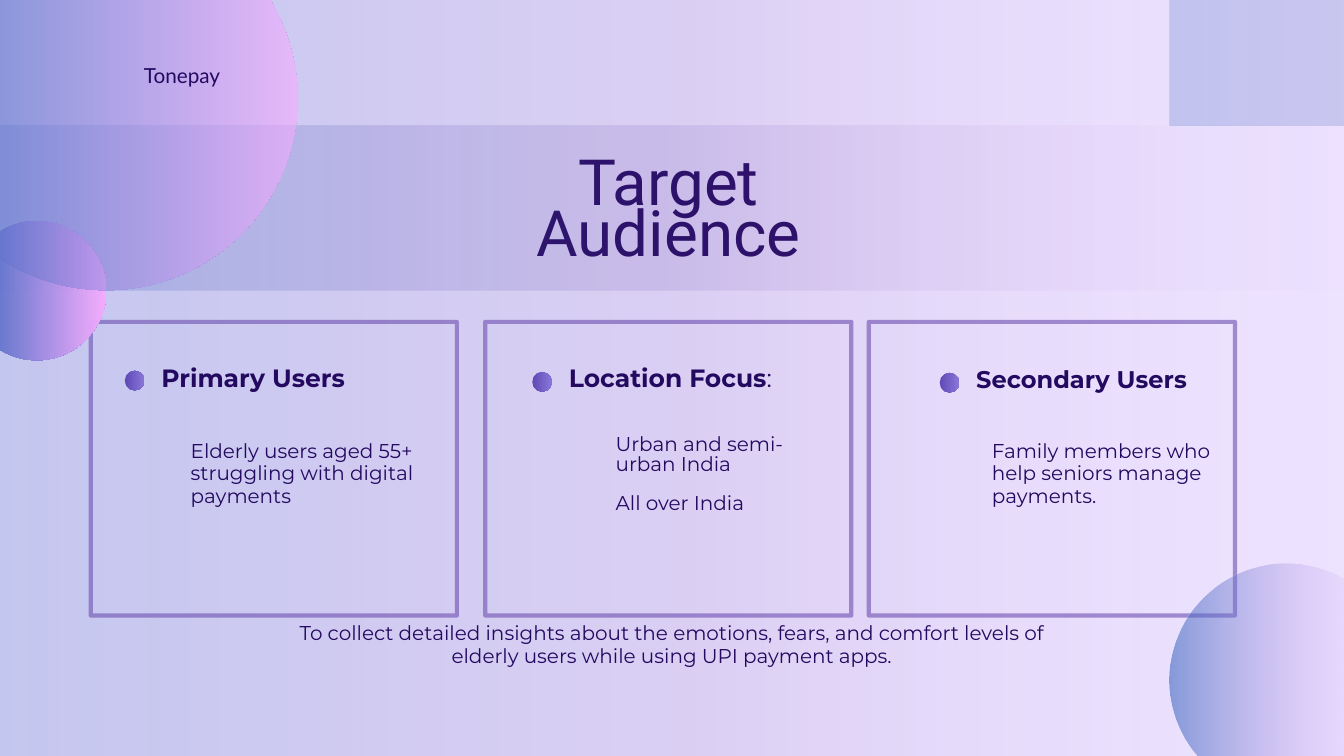
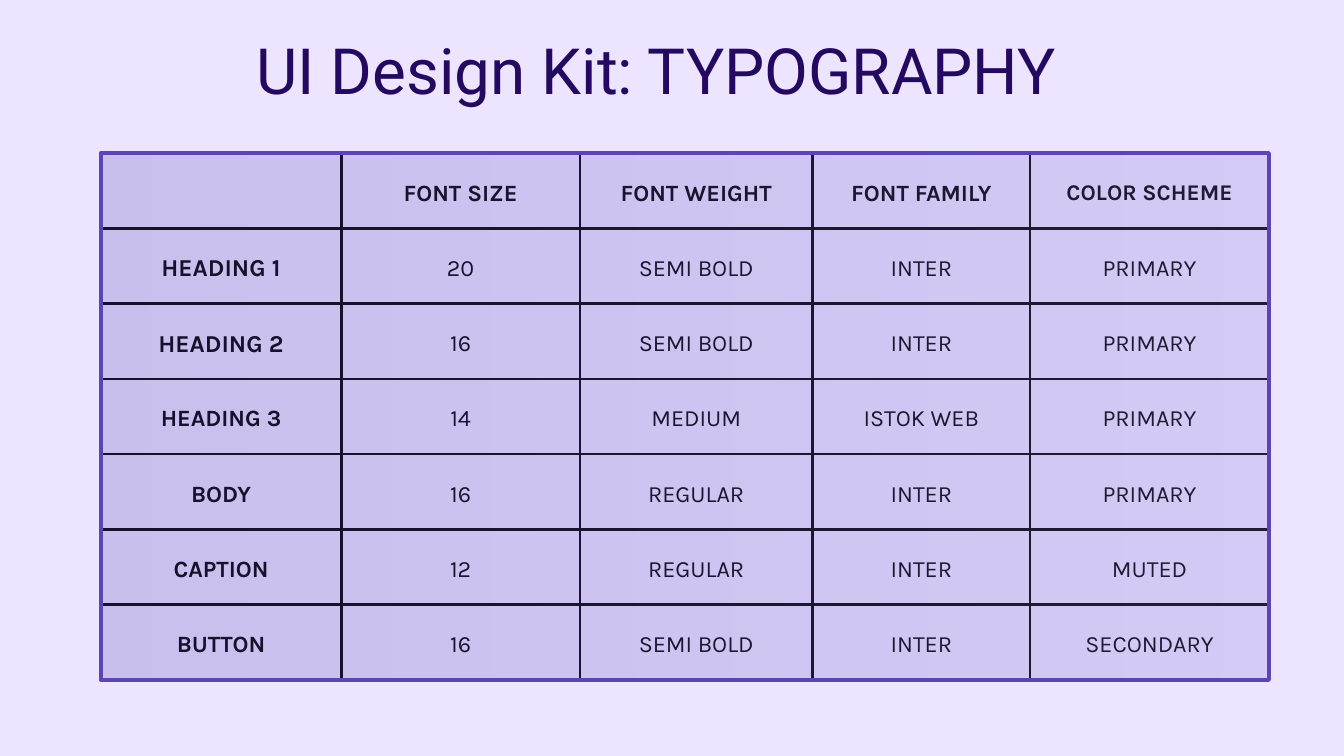
from lxml import etree
from pptx import Presentation
from pptx import util as u
from pptx.dml.color import RGBColor
from pptx.enum import shapes, text
from pptx.oxml.ns import qn

HUES = {
    "page": "EDE5FF", "ink": "240960", "black": "000000",
    "blue": "3C67BF", "plum": "6B4CAF", "pink": "F7ACFF",
    "deep": "5B45B5", "lilac": "8875D7",
}
BOX, DISC = shapes.MSO_SHAPE.RECTANGLE, shapes.MSO_SHAPE.OVAL
LEFT, MID, FULL = text.PP_ALIGN.LEFT, text.PP_ALIGN.CENTER, text.PP_ALIGN.JUSTIFY

WASH = [(0, "blue", 23), (50, "plum", 13), (100, "pink", 0)]
BALL = [(0, "blue", 96), (100, "pink", 96)]
GLOW = [(0, "blue", 58), (100, "pink", 58)]
FADE = [(0, "blue", 58), (100, "pink", 0)]
DOT = [(0, "deep", 96), (100, "lilac", 96)]
TINT = [(0, "deep", 23), (100, "lilac", 23)]

CARDS = [3.43, 18.34, 32.84]
HEADS = [
    ("Primary Users", "", 14.02, 14.1, 26.8),
    ("Location Focus", ":", 14.07, 14.1, 26.8),
    ("Secondary Users", "", 14.1, 14.15, 25.8),
]
NOTES = [
    (["Elderly users aged 55+ struggling with digital payments"],
     (7.21, 16.61, 9.19, 2.57), 24.4, LEFT),
    (["Urban and semi-urban India", "All over India"],
     (23.27, 16.48, 8.2, 2.9), 21, LEFT),
    (["Family members who help seniors manage payments."],
     (37.49, 16.61, 9.19, 3.4), 24.4, LEFT),
    (["To collect detailed insights about the emotions, fears, and comfort "
      "levels of elderly users while using UPI payment apps."],
     (10.31, 23.52, 30.15, 1.7), 24.4, MID),
]
GRID = [
    ["", "FONT SIZE", "FONT WEIGHT", "FONT FAMILY", "COLOR SCHEME"],
    ["HEADING 1", "20", "SEMI BOLD", "INTER", "PRIMARY"],
    ["HEADING 2", "16", "SEMI BOLD", "INTER", "PRIMARY"],
    ["HEADING 3", "14", "MEDIUM", "ISTOK WEB", "PRIMARY"],
    ["BODY", "16", "REGULAR", "INTER", "PRIMARY"],
    ["CAPTION", "12", "REGULAR", "INTER", "MUTED"],
    ["BUTTON", "16", "SEMI BOLD", "INTER", "SECONDARY"],
]
SIZES = {"COLOR SCHEME": 24, "HEADING 1": 26, "HEADING 2": 26}
COLS = [9.09, 9.02, 8.79, 8.23, 9.02]
FRAME = (3.81, 5.79, 44.15, 19.91)


def rgb(hue):
    """Return the named colour."""
    return RGBColor.from_string(HUES[hue])


def place(box):
    """Turn centimetres into lengths."""
    return [u.Cm(n) for n in box]


def tone(node, hue, alpha):
    """Add a colour with an opacity in percent."""
    clr = etree.SubElement(node, qn("a:srgbClr"), val=HUES[hue])
    etree.SubElement(clr, qn("a:alpha"), val=str(alpha * 1000))


def shape(slide, kind, box):
    """Add a preset shape with no fill, line or shadow."""
    item = slide.shapes.add_shape(kind, *place(box))
    item.shadow.inherit = False
    item.fill.background()
    item.line.fill.background()
    return item


def blend(slide, kind, box, stops):
    """Add a shape with a see-through gradient from left to right."""
    item = shape(slide, kind, box)
    item.fill.gradient()
    item.fill.gradient_angle = 0
    stack = item._element.spPr.find(qn("a:gradFill")).find(qn("a:gsLst"))
    for old in list(stack):
        stack.remove(old)
    for spot, hue, alpha in stops:
        tone(etree.SubElement(stack, qn("a:gs"), pos=str(spot * 1000)), hue, alpha)


def frame(slide, box, hue, alpha):
    """Add an outlined box."""
    line = shape(slide, BOX, box).line
    line.width = u.Pt(4.5)
    line.color.rgb = rgb(hue)
    fill = line._ln.find(qn("a:solidFill"))
    fill.remove(fill[0])
    tone(fill, hue, alpha)


def style(para, face, size, lead, hue="ink", bold=False, align=LEFT):
    """Format a paragraph and its runs."""
    para.alignment = align
    para.line_spacing = u.Pt(lead)
    for run in para.runs:
        font = run.font
        font.name, font.size, font.bold = face, u.Pt(size), bold
        font.color.rgb = rgb(hue)


def write(slide, lines, box, face, size, lead, gap=0, **looks):
    """Add a text box with one paragraph for each line."""
    body = slide.shapes.add_textbox(*place(box)).text_frame
    body.margin_left = body.margin_right = body.margin_top = body.margin_bottom = 0
    body.word_wrap = True
    body.auto_size = text.MSO_AUTO_SIZE.SHAPE_TO_FIT_TEXT
    body.text = "\n".join(lines)
    for num, para in enumerate(body.paragraphs):
        style(para, face, size, lead, **looks)
        if num and gap:
            para.space_before = u.Pt(gap)
    return body


def title(slide, lines, box, align):
    """Add the slide title."""
    write(slide, lines, box, "Roboto", 68.3, 54.7, align=align)


def head(slide, num, label, tail, dot, top, size):
    """Add a card heading with its dot."""
    left = 4.72 + 15.4 * num
    blend(slide, DISC, (left, dot, 0.74, 0.74), DOT)
    box = (left + 1.38, top, 9.5, 0.86)
    body = write(slide, [label], box, "Montserrat", size, size * 0.8, bold=True)
    if tail:
        para = body.paragraphs[0]
        para.add_run().text = tail
        style(para, "Montserrat", size, size * 0.8)
        para.runs[0].font.bold = True


def edge(cell):
    """Draw the four borders of a cell."""
    props = cell._tc.get_or_add_tcPr()
    for side in ("a:lnL", "a:lnR", "a:lnT", "a:lnB"):
        line = etree.SubElement(props, qn(side), w=str(u.Pt(3)))
        tone(etree.SubElement(line, qn("a:solidFill")), "black", 100)


def table(slide):
    """Add the table of type styles."""
    left, top, wide, high = place(FRAME)
    grid = slide.shapes.add_table(len(GRID), len(COLS), left, top, wide, high).table
    grid.first_row = grid.horz_banding = False
    for col, size in zip(grid.columns, COLS):
        col.width = u.Cm(size)
    for r, row in enumerate(GRID):
        grid.rows[r].height = high // len(GRID)
        for c, word in enumerate(row):
            cell = grid.cell(r, c)
            edge(cell)
            cell.fill.background()
            cell.vertical_anchor = text.MSO_ANCHOR.MIDDLE
            cell.margin_left = cell.margin_right = u.Cm(0.53)
            cell.margin_top = cell.margin_bottom = u.Cm(0.53)
            cell.text_frame.text = word
            size = SIZES.get(word, 25)
            style(cell.text_frame.paragraphs[0], "Karla", size, size * 1.4,
                  "black", r == 0 or c == 0, MID)


def page(deck):
    """Add a blank slide with the shared background."""
    slide = deck.slides.add_slide(deck.slide_layouts[6])
    fill = slide.background.fill
    fill.solid()
    fill.fore_color.rgb = rgb("page")
    return slide


def users(deck):
    """Build the target audience slide."""
    slide = page(deck)
    blend(slide, BOX, (-1.04, 4.75, 54.23, 6.22), WASH)
    title(slide, ["Target", "Audience"], (15.11, 6.32, 20.32, 4.06), MID)
    blend(slide, BOX, (-0.38, -1.47, 54.23, 33.15), WASH)
    blend(slide, BOX, (44.2, -1.47, 54.23, 6.22), WASH)
    for left in CARDS:
        frame(slide, (left, 12.17, 13.84, 11.1), "plum", 58)
    for num, item in enumerate(HEADS):
        head(slide, num, *item)
    blend(slide, DISC, (-1.24, 8.36, 5.26, 5.26), BALL)
    for lines, box, lead, align in NOTES:
        write(slide, lines, box, "Montserrat", 21.4, lead, gap=lead, align=align)
    blend(slide, DISC, (-3.23, -3.51, 14.48, 14.48), GLOW)
    blend(slide, DISC, (44.2, 21.29, 8.84, 8.84), FADE)
    write(slide, ["Tonepay"], (5.44, 2.51, 4.04, 0.84), "Lato", 22.2, 22.7)


def fonts(deck):
    """Build the typography slide."""
    slide = page(deck)
    table(slide)
    title(slide, ["UI Design Kit: TYPOGRAPHY"], (9.7, 2.13, 33.2, 2.16), FULL)
    blend(slide, BOX, FRAME, TINT)
    frame(slide, FRAME, "deep", 100)


def main():
    """Build and save the deck."""
    deck = Presentation()
    deck.slide_width, deck.slide_height = u.Cm(50.8), u.Cm(28.58)
    users(deck)
    fonts(deck)
    deck.save("out.pptx")


if __name__ == "__main__":
    main()
